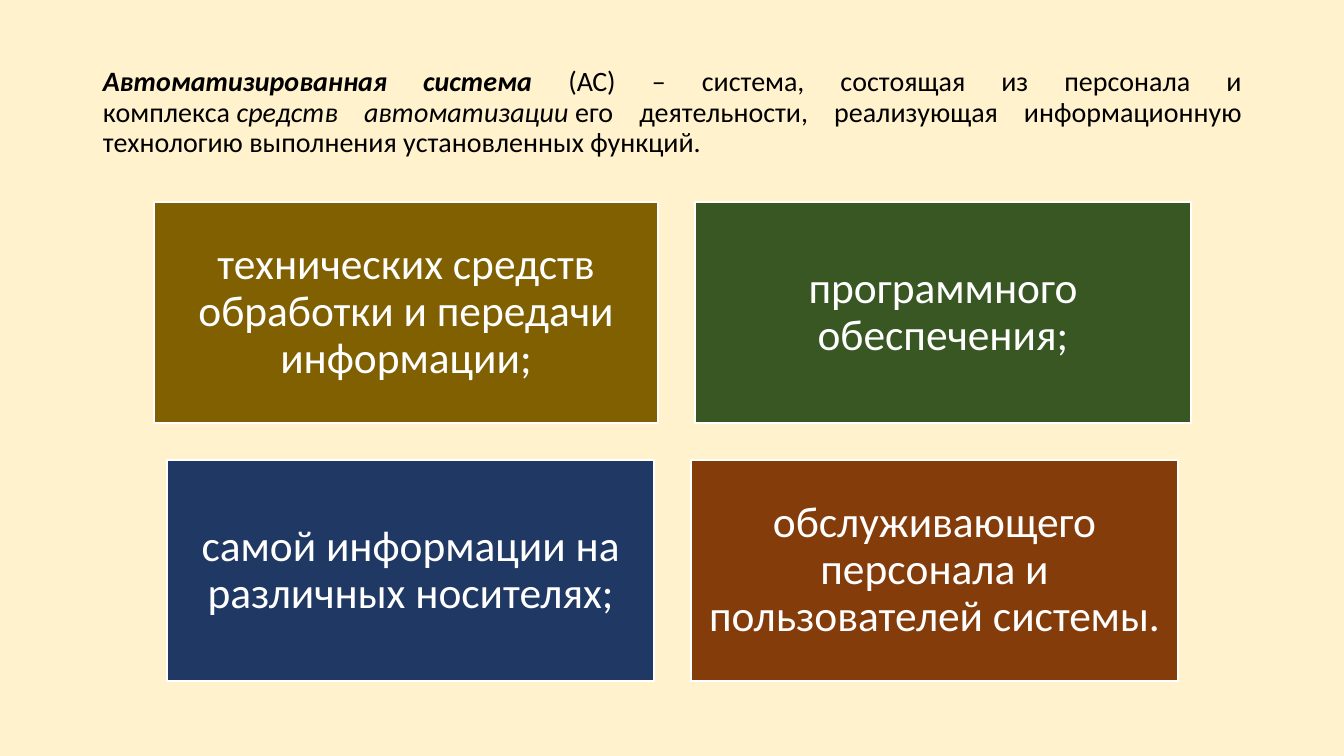
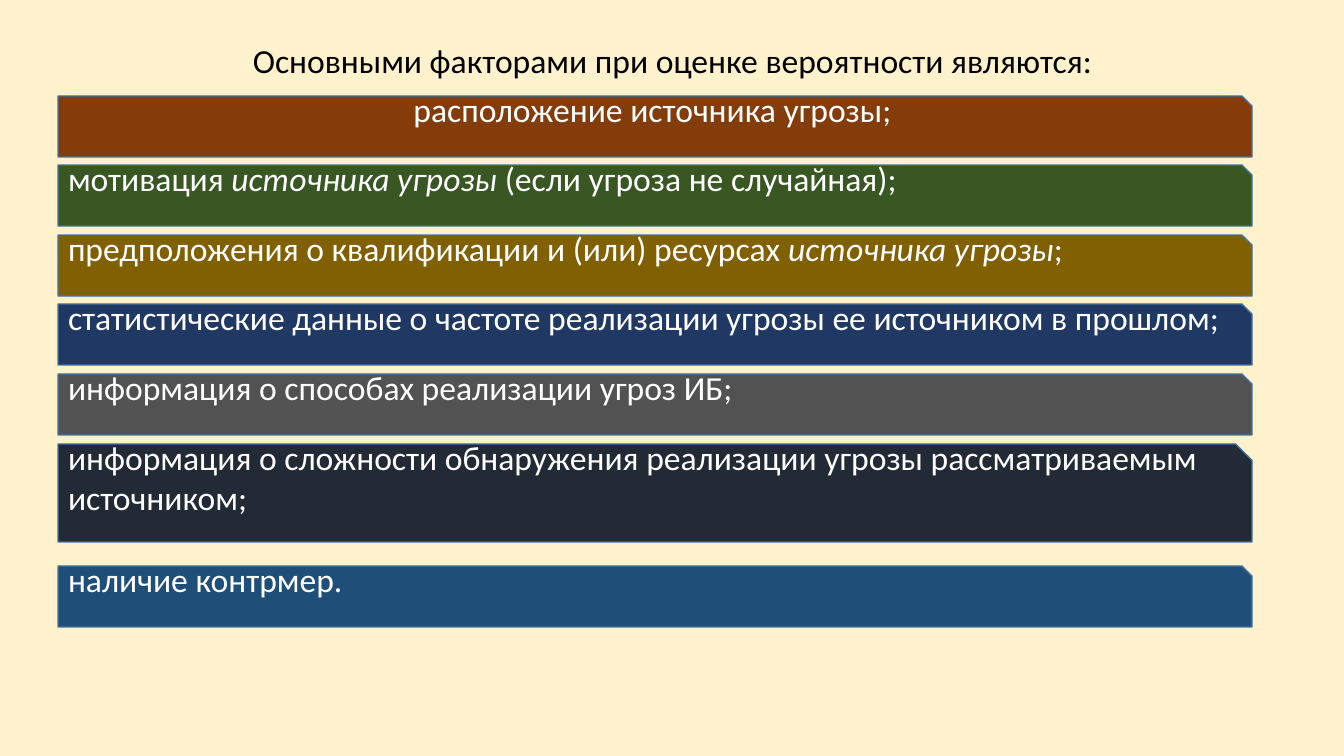
"""Build two slides on automated systems and threat likelihood factors."""
from dataclasses import dataclass

from pptx import Presentation
from pptx.dml.color import RGBColor
from pptx.enum.shapes import MSO_SHAPE
from pptx.enum.text import MSO_ANCHOR, MSO_AUTO_SIZE, PP_ALIGN
from pptx.util import Emu, Pt

SLIDE_W, SLIDE_H = 1344, 756
TITLE_ONLY = 5
NBSP = chr(160)


@dataclass(frozen=True)
class Theme:
    """Hold the colours, font and type sizes of the deck."""
    font: str = "Calibri"
    background: str = "FFF2CC"
    ink: str = "000000"
    white: str = "FFFFFF"
    bar_line: str = "43739E"
    gold: str = "806000"
    green: str = "385723"
    navy: str = "203864"
    rust: str = "843C0B"
    grey: str = "525252"
    slate: str = "222A35"
    blue: str = "1F4E79"
    definition_size: int = 20
    body_size: int = 24
    card_size: int = 31


THEME = Theme()


def px(n):
    """Turn pixels into EMU."""
    return Emu(round(n * 914400 / 100.8))


def rgb(value):
    """Turn a hex string into a colour."""
    return RGBColor.from_string(value)


def place(sp, left, top, width, height):
    """Move and size a shape."""
    sp.left, sp.top, sp.width, sp.height = map(px, (left, top, width, height))


def write(sp, runs, size, color, align, spacing=None, insets=(10, 5, 10, 5)):
    """Fill a shape with one paragraph of (text, style) runs; b is bold, i is italic."""
    tf = sp.text_frame
    tf.word_wrap = True
    tf.auto_size = MSO_AUTO_SIZE.NONE
    tf.vertical_anchor = MSO_ANCHOR.MIDDLE
    tf.margin_left, tf.margin_top, tf.margin_right, tf.margin_bottom = map(px, insets)
    p = tf.paragraphs[0]
    p.alignment = align
    if spacing:
        p.line_spacing = spacing
    for text, style in runs:
        r = p.add_run()
        r.text = text
        r.font.name = THEME.font
        r.font.size = Pt(size)
        r.font.color.rgb = rgb(color)
        r.font.bold = "b" in style
        r.font.italic = "i" in style


def add_titled_slide(prs, runs, box, size, align):
    """Add a slide with its title placed and formatted."""
    s = prs.slides.add_slide(prs.slide_layouts[TITLE_ONLY])
    place(s.shapes.title, *box)
    write(s.shapes.title, runs, size, THEME.ink, align, spacing=0.9)
    return s


def add_panel(s, kind, box, fill, line):
    """Add a filled and outlined preset shape."""
    sp = s.shapes.add_shape(kind, *map(px, box))
    sp.shadow.inherit = False
    sp.fill.solid()
    sp.fill.fore_color.rgb = rgb(fill)
    sp.line.color.rgb = rgb(line)
    sp.line.width = Pt(1)
    return sp


def add_card_row(s, top, height, gap, cards):
    """Add a centred row of (text, fill, width) cards."""
    total = sum(width for _, _, width in cards) + gap * (len(cards) - 1)
    left = (SLIDE_W - total + 1) // 2
    for text, fill, width in cards:
        sp = add_panel(s, MSO_SHAPE.RECTANGLE, (left, top, width, height), fill, THEME.white)
        write(sp, [(text, "")], THEME.card_size, THEME.white, PP_ALIGN.CENTER,
              spacing=0.9, insets=(13, 13, 13, 13))
        left += width + gap


def add_bar(s, top, height, fill, runs, align=PP_ALIGN.LEFT):
    """Add a factor bar whose text sits in its upper part."""
    sp = add_panel(s, MSO_SHAPE.SNIP_1_RECTANGLE, (58, top, 1194, height), fill, THEME.bar_line)
    write(sp, runs, THEME.body_size, THEME.white, align, insets=(10, 5, 10, 45))


def add_system_slide(prs):
    """Define an automated system and show its four components."""
    definition = [
        ("Автоматизированная система", "bi"),
        (f" (АС) – система, состоящая из персонала и комплекса{NBSP}", ""),
        ("средств автоматизации", "i"),
        (f"{NBSP}его деятельности, реализующая информационную технологию "
         "выполнения установленных функций.", ""),
    ]
    s = add_titled_slide(prs, definition, (93, 40, 1159, 146),
                         THEME.definition_size, PP_ALIGN.JUSTIFY)
    rows = [
        [("технических средств обработки и передачи информации;", THEME.gold, 504),
         ("программного обеспечения;", THEME.green, 496)],
        [("самой информации на различных носителях;", THEME.navy, 487),
         ("обслуживающего персонала и пользователей системы.", THEME.rust, 487)],
    ]
    top, height, gap = 202, 221, 37
    for i, cards in enumerate(rows):
        add_card_row(s, top + i * (height + gap), height, gap, cards)


def add_factors_slide(prs):
    """List the factors of threat likelihood as coloured bars."""
    s = add_titled_slide(prs, [("Основными факторами при оценке вероятности являются:", "")],
                         (93, 19, 1159, 87), THEME.body_size, PP_ALIGN.CENTER)
    source = ("источника угрозы", "i")
    factors = [
        (THEME.rust, [("расположение источника угрозы;", "")]),
        (THEME.green, [(f"мотивация{NBSP}", ""), source,
                       (f"{NBSP}(если угроза не случайная);", "")]),
        (THEME.gold, [(f"предположения о квалификации и (или) ресурсах{NBSP}", ""),
                      source, (";", "")]),
        (THEME.navy, [("статистические данные о частоте реализации угрозы "
                       "ее источником в прошлом;", "")]),
        (THEME.grey, [("информация о способах реализации угроз ИБ;", "")]),
    ]
    first, tall_top, height = 96, 444, 61
    for i, (fill, runs) in enumerate(factors):
        top = first + i * (tall_top - first) // len(factors)
        add_bar(s, top, height, fill, runs, PP_ALIGN.LEFT if i else PP_ALIGN.CENTER)
    add_bar(s, tall_top, 98, THEME.slate,
            [("информация о сложности обнаружения реализации угрозы "
              "рассматриваемым источником;", "")])
    add_bar(s, 566, height, THEME.blue, [("наличие контрмер.", "")])


def main():
    """Build and save the deck."""
    prs = Presentation()
    prs.slide_width, prs.slide_height = px(SLIDE_W), px(SLIDE_H)
    fill = prs.slide_master.background.fill
    fill.solid()
    fill.fore_color.rgb = rgb(THEME.background)
    add_system_slide(prs)
    add_factors_slide(prs)
    prs.save("out.pptx")


if __name__ == "__main__":
    main()
